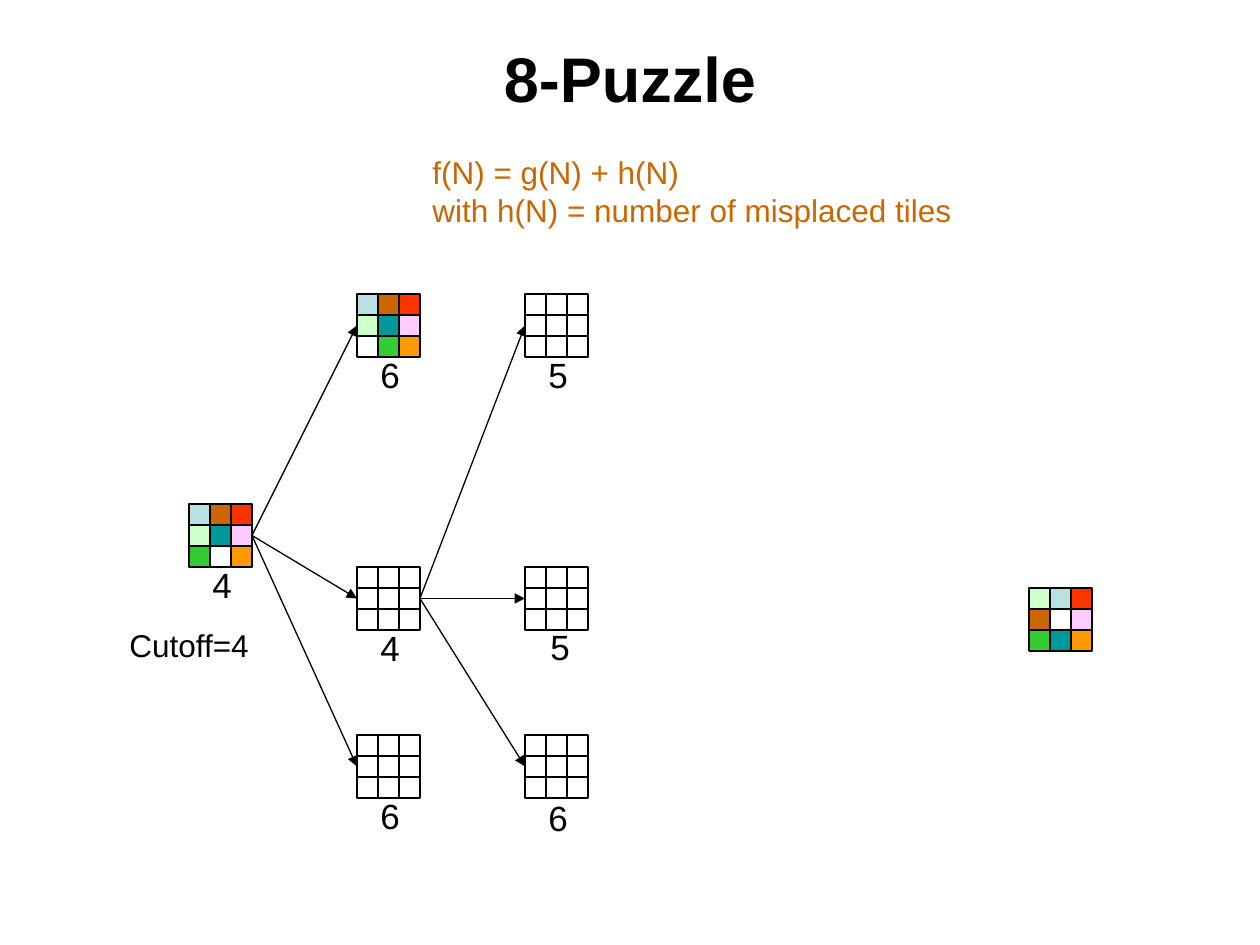
import pptx
import pptx.util
import pptx.dml.color
import pptx.enum.shapes
import pptx.enum.text
import pptx.oxml.ns
import lxml.etree

COLORS = {
    "black": "000000", "white": "FFFFFF", "blue": "BBE0E3", "brown": "CC6600",
    "mint": "CCFFCC", "teal": "009999", "pink": "FFCCFF", "green": "33CC33",
    "orange": "FF9900", "red": "FF3300",
}
TILES = {
    "A": "blue", "B": "brown", "C": "mint", "D": "teal", "E": "pink",
    "F": "green", "G": "orange", "H": "red", ".": "white",
}
BLANK = "." * 9

# name: left, top, tiles row by row, score, score nudge
BOARDS = {
    "start": (189, 504, "ABHCDEF.G", "4", (0, 0)),
    "down": (357, 735, BLANK, "6", (0, 0)),
    "middle": (357, 567, BLANK, "4", (0, 0)),
    "up": (357, 294, "ABHCDE.FG", "6", (0, 0)),
    "middle down": (525, 735, BLANK, "6", (0, 2)),
    "middle across": (525, 567, BLANK, "5", (2, -1)),
    "middle up": (525, 294, BLANK, "5", (0, 0)),
    "goal": (1029, 588, "CAHB.EFDG", None, (0, 0)),
}
MOVES = [
    ("start", "up"), ("start", "middle"), ("start", "down"),
    ("middle", "middle up"), ("middle", "middle across"), ("middle", "middle down"),
]
TITLE = ["8-Puzzle"]
FORMULA = ["f(N) = g(N) + h(N)", "with h(N) = number of misplaced tiles"]
CUTOFF = ["Cutoff=4"]

PX = 914400 // 126
TILE = 21
SCORE_OFFSET = (11, 53)
LEFT_SIDE, RIGHT_SIDE = 1, 3
MIDDLE_LEFT, MIDDLE_RIGHT = 3, 5


def rgb(name):
    return pptx.dml.color.RGBColor.from_string(COLORS[name])


def px(*lengths):
    return [length * PX for length in lengths]


def add_text(slide, box, lines, size, color="black", bold=False, centred=False):
    area = slide.shapes.add_textbox(*px(*box))
    frame = area.text_frame
    frame.word_wrap = centred
    if centred:
        frame.vertical_anchor = pptx.enum.text.MSO_ANCHOR.MIDDLE
    else:
        frame.auto_size = pptx.enum.text.MSO_AUTO_SIZE.SHAPE_TO_FIT_TEXT
    frame.text = "\n".join(lines)
    style = {"name": "Arial", "size": pptx.util.Pt(size), "bold": bold}
    for paragraph in frame.paragraphs:
        if centred:
            paragraph.alignment = pptx.enum.text.PP_ALIGN.CENTER
        font = paragraph.runs[0].font
        for key, value in style.items():
            setattr(font, key, value)
        font.color.rgb = rgb(color)
    return area


def add_board(slide, left, top, tiles, score, nudge):
    if score:
        x, y = (sum(parts) for parts in zip((left, top), SCORE_OFFSET, nudge))
        label = add_text(slide, (x, y, 44, 55), [score], 20)
        label.fill.solid()
        label.fill.fore_color.rgb = rgb("white")
    squares = []
    for index, tile in enumerate(tiles):
        row, column = divmod(index, 3)
        square = slide.shapes.add_shape(
            pptx.enum.shapes.MSO_SHAPE.RECTANGLE,
            *px(left + column * TILE, top + row * TILE, TILE, TILE))
        square.shadow.inherit = False
        square.fill.solid()
        square.fill.fore_color.rgb = rgb(TILES[tile])
        square.line.color.rgb = rgb("black")
        square.line.width = pptx.util.Pt(0.75)
        squares.append(square)
    return squares


def add_move(slide, parent, child):
    arrow = slide.shapes.add_connector(
        pptx.enum.shapes.MSO_CONNECTOR.STRAIGHT, 0, 0, 0, 0)
    arrow.begin_connect(parent[MIDDLE_RIGHT], RIGHT_SIDE)
    arrow.end_connect(child[MIDDLE_LEFT], LEFT_SIDE)
    arrow.line.color.rgb = rgb("black")
    arrow.line.width = pptx.util.Pt(0.75)
    qn = pptx.oxml.ns.qn
    lxml.etree.SubElement(arrow.line._get_or_add_ln(), qn("a:tailEnd"), type="triangle")
    lxml.etree.SubElement(arrow._element.spPr, qn("a:effectLst"))


def main():
    deck = pptx.Presentation()
    deck.slide_width, deck.slide_height = px(1260, 945)
    slide = deck.slides.add_slide(deck.slide_layouts[6])
    add_text(slide, (63, 38, 1134, 78), TITLE, 36, bold=True, centred=True)
    add_text(slide, (420, 147, 544, 88), FORMULA, 18, "brown")
    add_text(slide, (117, 620, 145, 50), CUTOFF, 18)
    boards = {name: add_board(slide, *board) for name, board in BOARDS.items()}
    for parent, child in MOVES:
        add_move(slide, boards[parent], boards[child])
    deck.save("out.pptx")


if __name__ == "__main__":
    main()
